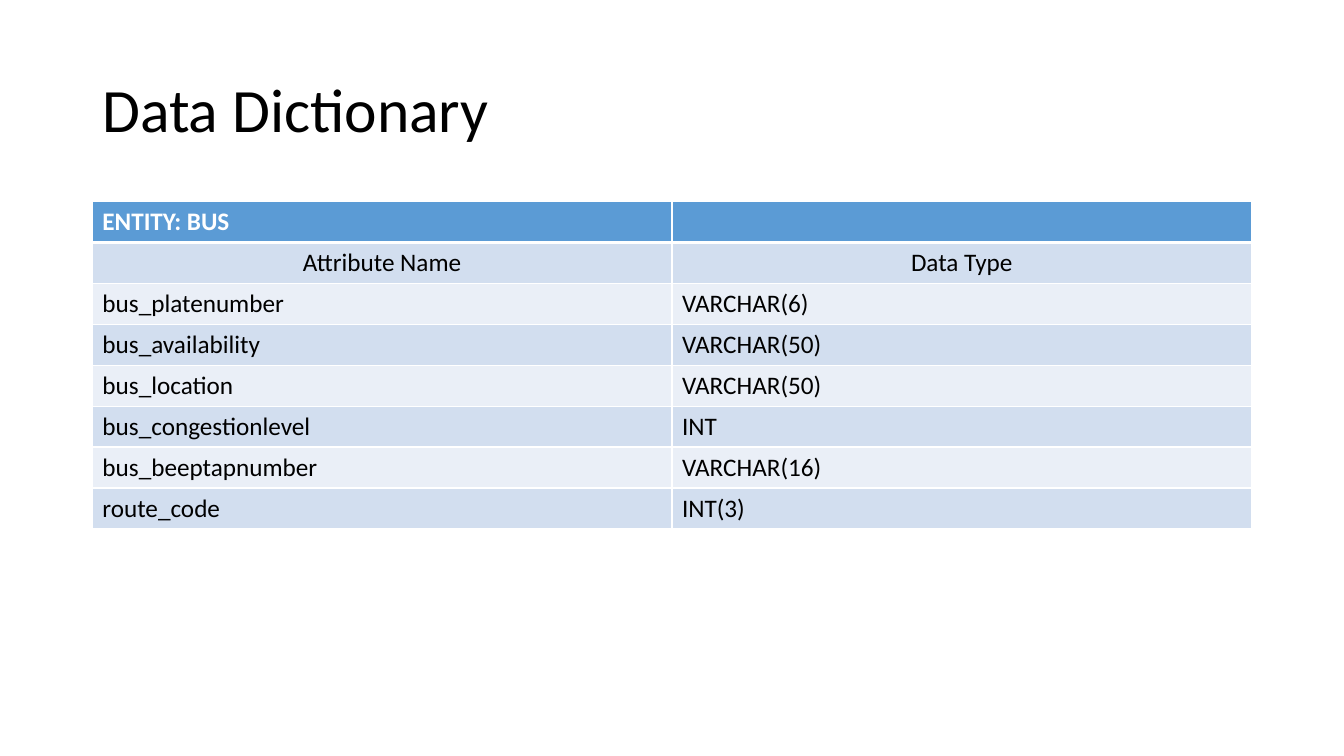
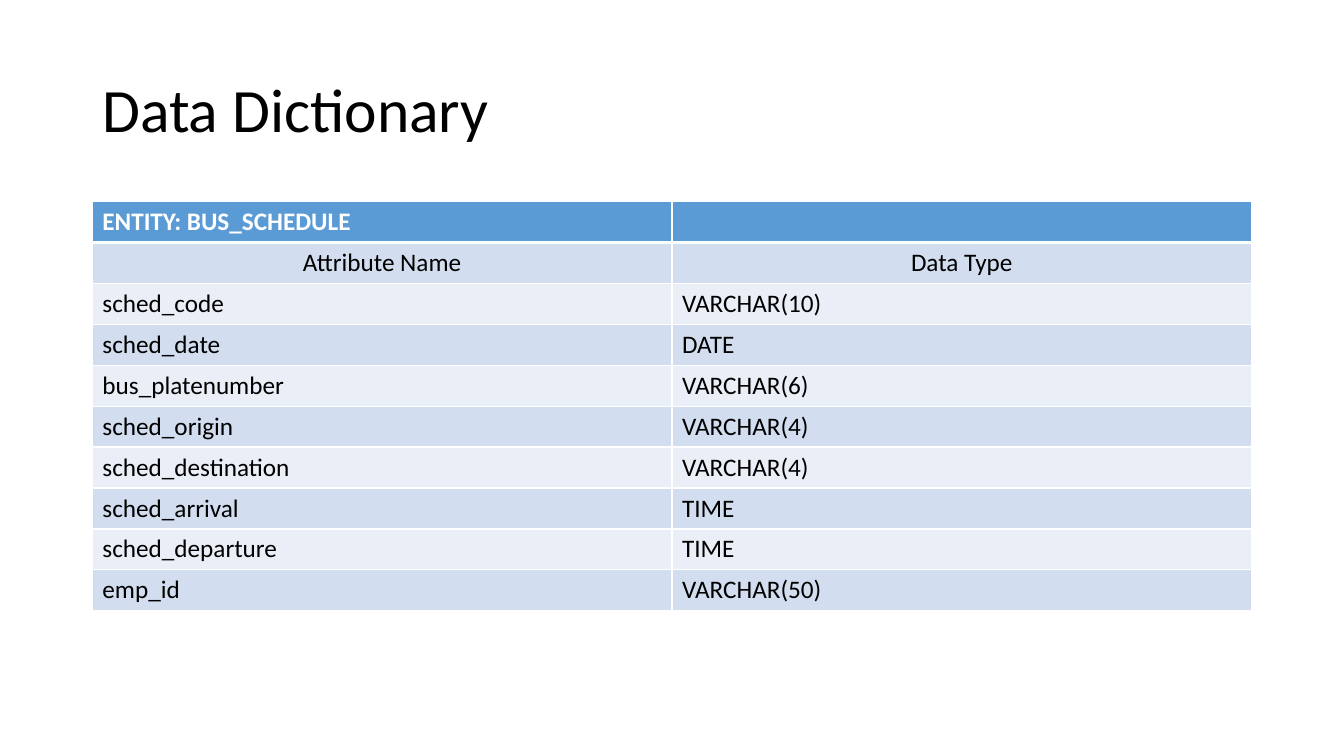
from dataclasses import dataclass

from lxml.etree import SubElement
from pptx import Presentation
from pptx.dml.color import RGBColor
from pptx.enum.text import MSO_ANCHOR, PP_ALIGN
from pptx.oxml.ns import qn
from pptx.slide import Slide
from pptx.table import _Cell
from pptx.text.text import _Paragraph
from pptx.util import Emu, Pt

# Shared style
PX = 9525  # EMU per px
FONT = "Calibri"
COLORS = {
    "text": "000000",
    "white": "FFFFFF",
    "header": "5B9BD5",
    "band_dark": "D2DEEF",
    "band_light": "EAEFF7",
}
LEFT, WIDTH = 88, 1104
TITLE_TOP, TITLE_HEIGHT = 38, 139
TABLE_TOP, ROW_HEIGHT = 192, 39


@dataclass(frozen=True)
class Entity:
    name: str
    attributes: tuple[tuple[str, str], ...]


ENTITIES = (
    Entity("BUS", (
        ("bus_platenumber", "VARCHAR(6)"),
        ("bus_availability", "VARCHAR(50)"),
        ("bus_location", "VARCHAR(50)"),
        ("bus_congestionlevel", "INT"),
        ("bus_beeptapnumber", "VARCHAR(16)"),
        ("route_code", "INT(3)"),
    )),
    Entity("BUS_SCHEDULE", (
        ("sched_code", "VARCHAR(10)"),
        ("sched_date", "DATE"),
        ("bus_platenumber", "VARCHAR(6)"),
        ("sched_origin", "VARCHAR(4)"),
        ("sched_destination", "VARCHAR(4)"),
        ("sched_arrival", "TIME"),
        ("sched_departure", "TIME"),
        ("emp_id", "VARCHAR(50)"),
    )),
)


def px(n: int) -> Emu:
    return Emu(n * PX)


def rgb(name: str) -> RGBColor:
    return RGBColor.from_string(COLORS[name])


def write(p: _Paragraph, text: str, *, size: int = 18, color: str = "text",
          bold: bool = False, align: PP_ALIGN = PP_ALIGN.LEFT) -> None:
    p.alignment = align
    if not text:
        return
    r = p.add_run()
    r.text = text
    r.font.name = FONT
    r.font.size = Pt(size)
    r.font.bold = bold
    r.font.color.rgb = rgb(color)


def set_borders(cell: _Cell, top: int = 1, bottom: int = 1) -> None:
    tc_pr = cell._tc.get_or_add_tcPr()
    for side, width in (("L", 1), ("R", 1), ("T", top), ("B", bottom)):
        ln = SubElement(tc_pr, qn(f"a:ln{side}"), w=str(Pt(width)))
        fill = SubElement(ln, qn("a:solidFill"))
        SubElement(fill, qn("a:srgbClr"), val=COLORS["white"])


def add_title(s: Slide, text: str) -> None:
    tf = s.shapes.add_textbox(
        px(LEFT), px(TITLE_TOP), px(WIDTH), px(TITLE_HEIGHT)).text_frame
    tf.word_wrap = True
    tf.vertical_anchor = MSO_ANCHOR.MIDDLE
    p = tf.paragraphs[0]
    p.line_spacing = 0.9
    write(p, text, size=44)


def add_entity_table(s: Slide, entity: Entity) -> None:
    rows = ((f"ENTITY: {entity.name}", ""),
            ("Attribute Name", "Data Type"), *entity.attributes)
    table = s.shapes.add_table(
        len(rows), 2, px(LEFT), px(TABLE_TOP),
        px(WIDTH), px(ROW_HEIGHT * len(rows))).table
    table.first_row = table.horz_banding = False
    for i, row in enumerate(rows):
        header = i == 0
        band = "band_dark" if i % 2 else "band_light"
        for j, text in enumerate(row):
            cell = table.cell(i, j)
            # A thick rule parts the header from the body
            set_borders(cell, top=3 if i == 1 else 1, bottom=3 if header else 1)
            cell.fill.solid()
            cell.fill.fore_color.rgb = rgb("header" if header else band)
            write(cell.text_frame.paragraphs[0], text, bold=header,
                  color="white" if header else "text",
                  align=PP_ALIGN.CENTER if i == 1 else PP_ALIGN.LEFT)


def main() -> None:
    prs = Presentation()
    prs.slide_width, prs.slide_height = px(1280), px(720)
    # One slide per entity
    for entity in ENTITIES:
        s = prs.slides.add_slide(prs.slide_layouts[6])
        add_title(s, "Data Dictionary")
        add_entity_table(s, entity)
    prs.save("out.pptx")


if __name__ == "__main__":
    main()
